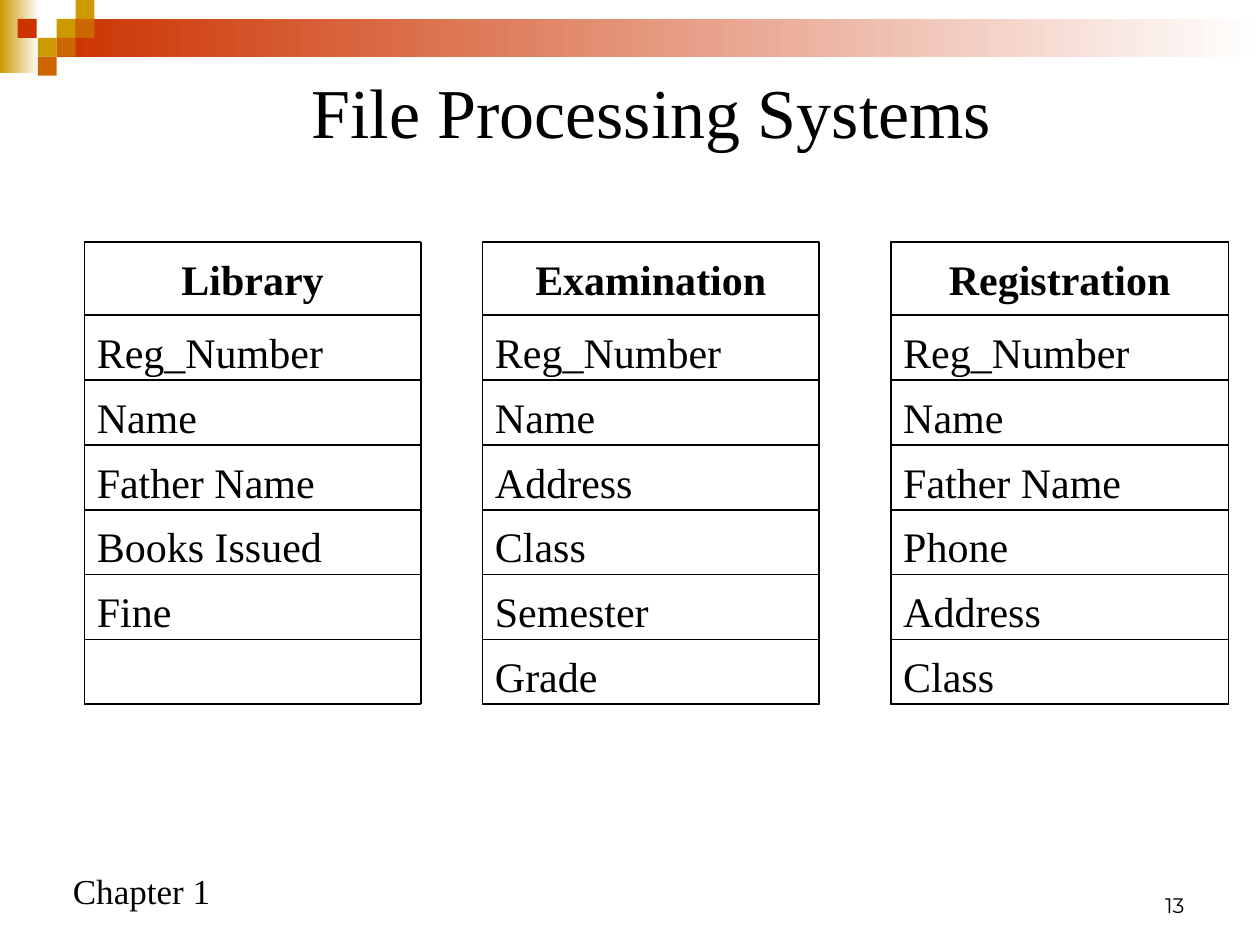
from lxml.etree import SubElement
from pptx import Presentation
from pptx.dml.color import RGBColor
from pptx.enum.shapes import MSO_CONNECTOR, MSO_SHAPE
from pptx.enum.text import MSO_ANCHOR, PP_ALIGN
from pptx.oxml.ns import qn
from pptx.util import Inches, Pt


def color(value):
    return RGBColor.from_string(value)


def write(frame, text, size=24, font="Times New Roman", bold=False,
          align=PP_ALIGN.LEFT, anchor=MSO_ANCHOR.TOP, wrap=True, inset_top=0.05):
    frame.word_wrap = wrap
    frame.vertical_anchor = anchor
    frame.margin_top = Inches(inset_top)
    para = frame.paragraphs[0]
    para.alignment = align
    span = para.add_run()
    span.text = text
    span.font.size = Pt(size)
    span.font.name = font
    span.font.bold = bold
    span.font.color.rgb = color("000000")


deck = Presentation()
deck.slide_width = Inches(10)
deck.slide_height = Inches(7.5)
page = deck.slides.add_slide(deck.slide_layouts[6])

# Corner decoration: two fading bands, then small squares
bands = [(0, 0, 0.31, 0.58, "CC9900"), (0.45, 0.15, 9.55, 0.3, "CC3300")]
square = 0.15
squares = [
    (0.45, 0.15, "CC9900"), (0.6, 0, "CC9900"), (0.6, 0.15, "CC6600"),
    (0.3, 0.3, "CC9900"), (0.14, 0.15, "CC3300"), (0.45, 0.3, "CC6600"),
    (0.3, 0.45, "CC6600"),
]
pieces = [(*band, True) for band in bands]
pieces += [(left, top, square, square, tint, False) for left, top, tint in squares]
for left, top, width, height, tint, fades in pieces:
    piece = page.shapes.add_shape(MSO_SHAPE.RECTANGLE, Inches(left), Inches(top),
                                  Inches(width), Inches(height))
    piece.shadow.inherit = False
    piece.line.fill.background()
    if fades:
        piece.fill.gradient()
        piece.fill.gradient_angle = 180
        start, end = piece.fill.gradient_stops
        start.color.rgb = color("FFFFFF")
        end.color.rgb = color(tint)
    else:
        piece.fill.solid()
        piece.fill.fore_color.rgb = color(tint)

chapter = page.shapes.add_textbox(Inches(0.48), Inches(6.85), Inches(1.29), Inches(0.44))
write(chapter.text_frame, "Chapter 1", size=20, wrap=False)
number = page.shapes.add_textbox(Inches(7.17), Inches(6.83), Inches(2.33), Inches(0.5))
write(number.text_frame, "13", size=12, font="Montserrat",
      align=PP_ALIGN.RIGHT, anchor=MSO_ANCHOR.BOTTOM)

# One group for each file: a box for every field, ruled with lines
first_top, last_bottom = 1.92, 5.59
field_tops = [2.5 + 0.515 * step for step in range(6)]
edges = [first_top, *field_tops, last_bottom]
files = [
    (0.67, 2.67, ["Library", "Reg_Number", "Name", "Father Name", "Books Issued", "Fine", ""]),
    (3.83, 2.67, ["Examination", "Reg_Number", "Name", "Address", "Class", "Semester", "Grade"]),
    (7.07, 2.68, ["Registration", "Reg_Number", "Name", "Father Name", "Phone", "Address",
                  "Class"]),
]
for left, width, fields in files:
    group = page.shapes.add_group_shape()
    right = left + width
    for field, top, bottom in reversed(list(zip(fields, edges, edges[1:]))):
        is_header = top == first_top
        box = group.shapes.add_shape(MSO_SHAPE.RECTANGLE, Inches(left), Inches(top),
                                     Inches(width), Inches(bottom - top))
        box.shadow.inherit = False
        box.fill.background()
        box.line.color.rgb = color("000000")
        box.line.width = Pt(0.75)
        if field:
            write(box.text_frame, field, bold=is_header, inset_top=0.09,
                  align=PP_ALIGN.CENTER if is_header else PP_ALIGN.LEFT)
    rules = [(left, edge, right, edge) for edge in edges]
    rules += [(side, first_top, side, last_bottom) for side in (left, right)]
    for ends in rules:
        rule = group.shapes.add_connector(MSO_CONNECTOR.STRAIGHT, *map(Inches, ends))
        rule.line.color.rgb = color("000000")
        rule.line.width = Pt(1)
        SubElement(rule._element.spPr, qn("a:effectLst"))

title = page.shapes.add_textbox(Inches(0.67), Inches(0.5), Inches(9), Inches(0.75))
write(title.text_frame, "File Processing Systems", size=40,
      align=PP_ALIGN.CENTER, anchor=MSO_ANCHOR.MIDDLE)

deck.save("out.pptx")
